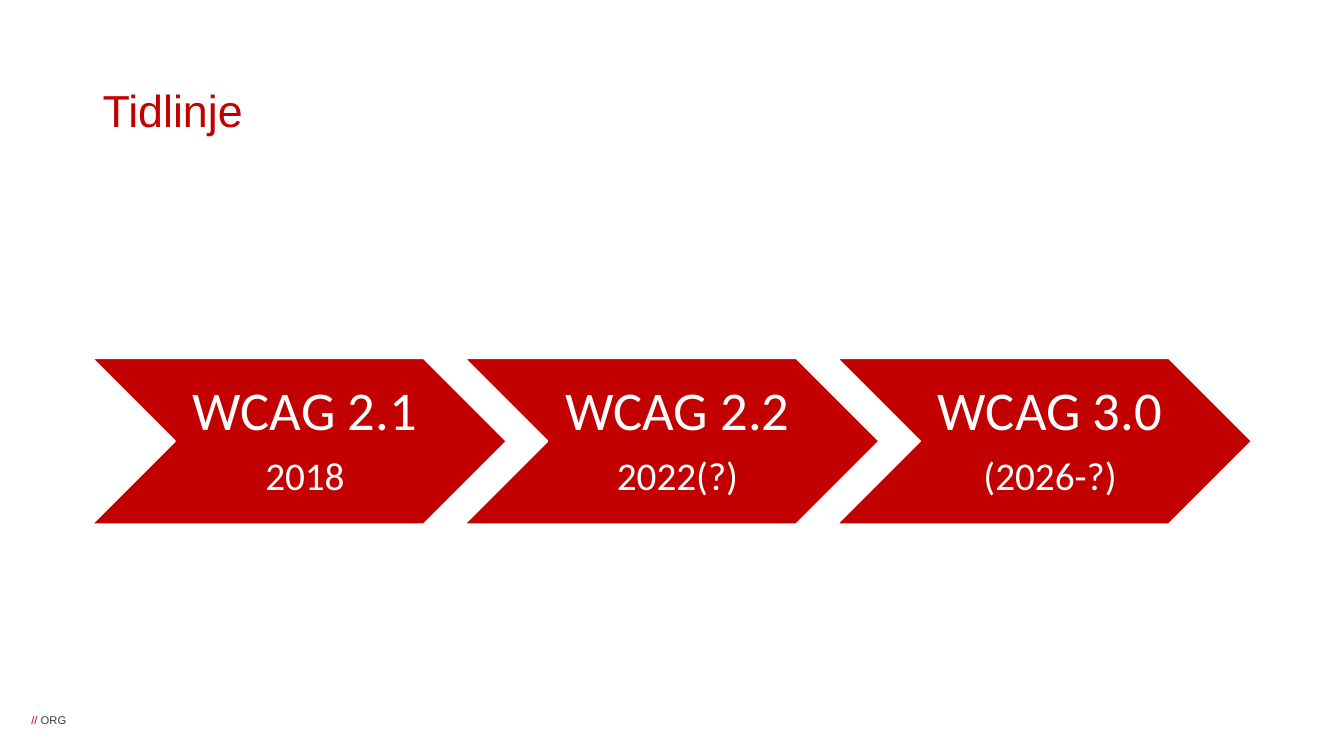
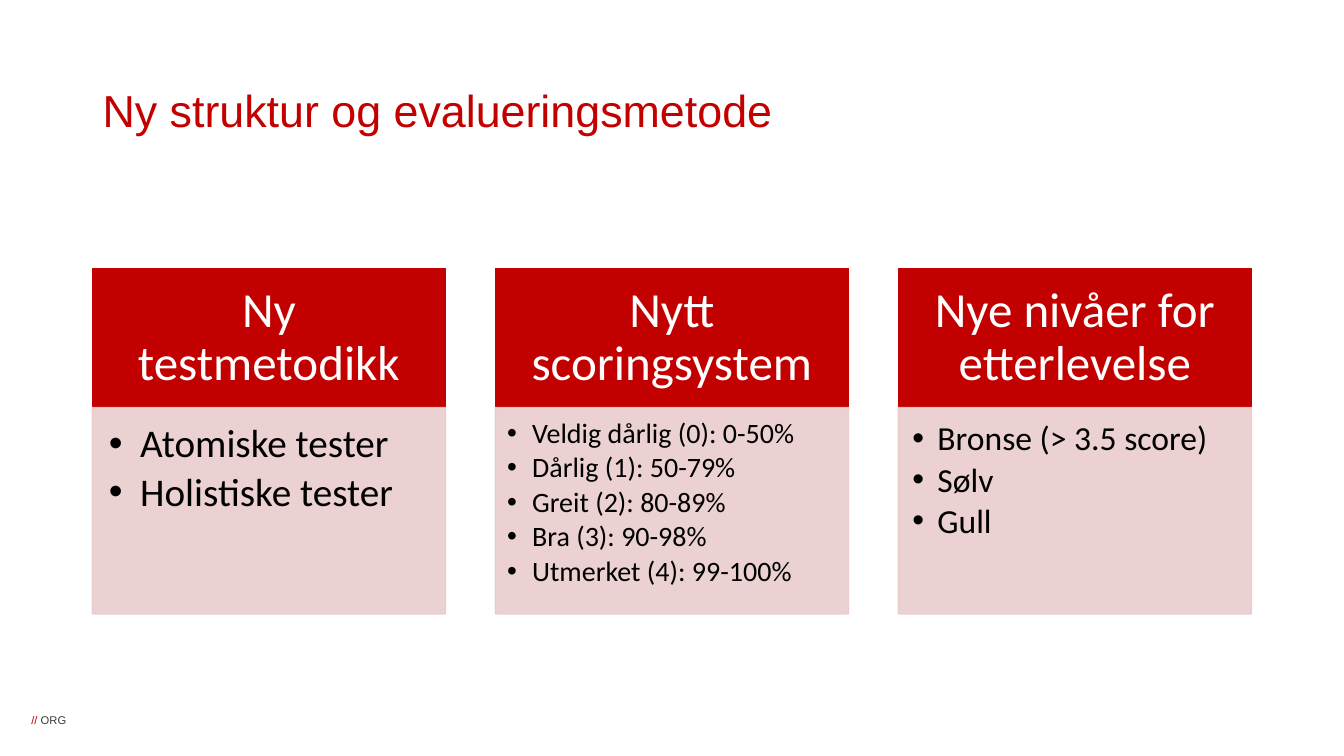
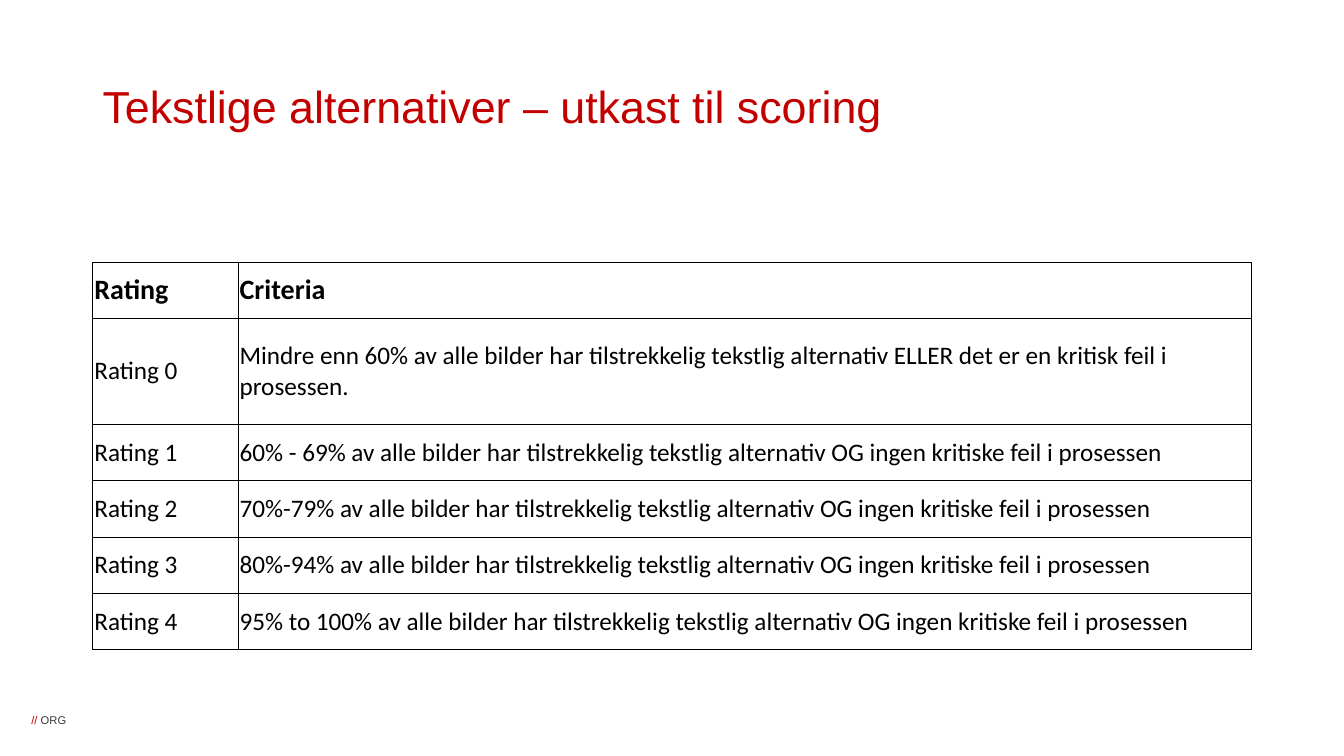
from lxml.etree import SubElement
from pptx import Presentation
from pptx.dml.color import RGBColor
from pptx.enum.shapes import MSO_SHAPE
from pptx.enum.text import MSO_ANCHOR, MSO_AUTO_SIZE, PP_ALIGN
from pptx.oxml.ns import qn
from pptx.util import Cm, Pt

RED = RGBColor(0xC3, 0x00, 0x00)
PINK = RGBColor(0xE9, 0xCC, 0xCC)
GREY = RGBColor(0x3E, 0x38, 0x32)
BLACK = RGBColor(0x00, 0x00, 0x00)
WHITE = RGBColor(0xFF, 0xFF, 0xFF)
HEAD_FONT = "Arial"
BODY_FONT = "Calibri"

LEFT, WIDTH = 2.33, 29.21

STEPS = [("WCAG 2.1", "2018"), ("WCAG 2.2", "2022(?)"), ("WCAG 3.0", "(2026-?)")]

CARDS = [
    ("Ny testmetodikk", 28, 0.79, ["Atomiske tester", "Holistiske tester"]),
    ("Nytt scoringsystem", 20, 0.63, [
        "Veldig dårlig (0): 0-50%",
        "Dårlig (1): 50-79%",
        "Greit (2): 80-89%",
        "Bra (3): 90-98%",
        "Utmerket (4): 99-100%",
    ]),
    ("Nye nivåer for etterlevelse", 24, 0.63, ["Bronse (> 3.5 score)", "Sølv", "Gull"]),
]

ENOUGH = "av alle bilder har tilstrekkelig tekstlig alternativ"
NO_ERRORS = f"{ENOUGH} OG ingen kritiske feil i prosessen"
RATINGS = [
    ("Rating", "Criteria"),
    ("Rating 0", f"Mindre enn 60% {ENOUGH} ELLER det er en kritisk feil i prosessen."),
    ("Rating 1", f"60% - 69% {NO_ERRORS}"),
    ("Rating 2", f"70%-79% {NO_ERRORS}"),
    ("Rating 3", f"80%-94% {NO_ERRORS}"),
    ("Rating 4", f"95% to 100% {NO_ERRORS}"),
]


def add_run(p, text, size, color, font=BODY_FONT, bold=False):
    """Add one formatted run to a paragraph."""
    r = p.add_run()
    r.text = text
    r.font.size = Pt(size)
    r.font.name = font
    r.font.bold = bold
    r.font.color.rgb = color


def set_margins(box, left, top, right, bottom):
    """Set the four insets of a text frame or a table cell."""
    box.margin_left, box.margin_top = left, top
    box.margin_right, box.margin_bottom = right, bottom


def add_paragraph(tf, index, text, size, color, align, after):
    """Fill the paragraph at an index, adding it when it is not the first."""
    p = tf.add_paragraph() if index else tf.paragraphs[0]
    p.alignment = align
    p.line_spacing = 0.9
    p.space_after = Pt(after)
    add_run(p, text, size, color)
    return p


def add_block(slide, preset, x, y, w, h, fill, line, anchor):
    """Add a flat filled shape and return it."""
    sp = slide.shapes.add_shape(preset, Cm(x), Cm(y), Cm(w), Cm(h))
    sp.shadow.inherit = False
    sp.fill.solid()
    sp.fill.fore_color.rgb = fill
    sp.line.color.rgb = line
    sp.line.width = Pt(1)
    sp.text_frame.word_wrap = True
    sp.text_frame.vertical_anchor = anchor
    return sp


def add_footer(slide):
    """Place the footer on the layout of a slide, for all slides using it."""
    sp = slide.shapes.add_textbox(Cm(0.79), Cm(17.98), Cm(1.5), Cm(0.33))
    tf = sp.text_frame
    tf.word_wrap = True
    set_margins(tf, 0, 0, 0, 0)
    p = tf.paragraphs[0]
    add_run(p, "// ", 8, RED, HEAD_FONT)
    add_run(p, "ORG", 8, GREY, HEAD_FONT)
    slide.slide_layout.shapes.element.append(sp.element)


def add_titled_slide(prs, title, top=1.35):
    """Add a title-only slide with its title moved and formatted."""
    slide = prs.slides.add_slide(prs.slide_layouts[5])
    sp = slide.shapes.title
    sp.left, sp.top, sp.width, sp.height = Cm(LEFT), Cm(top), Cm(WIDTH), Cm(2.97)
    tf = sp.text_frame
    tf.word_wrap = True
    tf.auto_size = MSO_AUTO_SIZE.NONE
    tf.vertical_anchor = MSO_ANCHOR.MIDDLE
    p = tf.paragraphs[0]
    p.alignment = PP_ALIGN.LEFT
    p.line_spacing = 0.9
    add_run(p, title, 32, RED, HEAD_FONT)
    return slide


def add_timeline(slide, x, y, w, steps):
    """Draw overlapping chevrons across the given width."""
    overlap = 0.1
    step_w = w / (len(steps) - overlap * (len(steps) - 1))
    for i, (name, year) in enumerate(steps):
        sp = add_block(slide, MSO_SHAPE.CHEVRON, x + i * step_w * (1 - overlap), y,
                       step_w, step_w * 0.4, RED, WHITE, MSO_ANCHOR.MIDDLE)
        tf = sp.text_frame
        set_margins(tf, Cm(0.43), Cm(0.15), Cm(0.15), Cm(0.15))
        add_paragraph(tf, 0, name, 39, WHITE, PP_ALIGN.CENTER, 10)
        add_paragraph(tf, 1, year, 28, WHITE, PP_ALIGN.CENTER, 10)


def add_bullet(p, indent):
    """Give a paragraph a round bullet and a hanging indent."""
    pPr = p._p.get_or_add_pPr()
    pPr.set("marL", str(Cm(indent)))
    pPr.set("indent", str(-Cm(indent)))
    SubElement(pPr, qn("a:buFont"), typeface=HEAD_FONT)
    SubElement(pPr, qn("a:buChar"), char="•")


def set_opacity(sp, percent):
    """Make the fill and the line of a shape partly transparent."""
    for color in sp.element.spPr.iter(qn("a:srgbClr")):
        SubElement(color, qn("a:alpha"), val=str(percent * 1000))


def add_card(slide, x, y, w, heading, size, indent, items):
    """Draw a heading box with a bulleted box below it."""
    head_h, body_h = 3.51, 5.2
    sp = add_block(slide, MSO_SHAPE.RECTANGLE, x, y, w, head_h, RED, RED, MSO_ANCHOR.MIDDLE)
    set_margins(sp.text_frame, Cm(0.69), Cm(0.4), Cm(0.69), Cm(0.4))
    add_paragraph(sp.text_frame, 0, heading, 35, WHITE, PP_ALIGN.CENTER, 0)

    sp = add_block(slide, MSO_SHAPE.RECTANGLE, x, y + head_h, w, body_h, PINK, PINK, MSO_ANCHOR.TOP)
    set_opacity(sp, 90)
    set_margins(sp.text_frame, *(Pt(size * k) for k in (0.42, 0.42, 0.56, 0.63)))
    for i, item in enumerate(items):
        p = add_paragraph(sp.text_frame, i, item, size, BLACK, PP_ALIGN.LEFT, size * 0.15)
        add_bullet(p, indent)


def add_cards(slide, x, y, w, cards):
    """Spread cards with equal gaps over the given width."""
    card_w = 8.9
    pitch = (w - card_w) / (len(cards) - 1)
    for i, card in enumerate(cards):
        add_card(slide, x + i * pitch, y, card_w, *card)


def set_borders(cell):
    """Draw thin black lines on all sides of a cell."""
    tcPr = cell._tc.get_or_add_tcPr()
    for side in ("a:lnL", "a:lnR", "a:lnT", "a:lnB"):
        ln = SubElement(tcPr, qn(side), w=str(Pt(0.3)))
        SubElement(SubElement(ln, qn("a:solidFill")), qn("a:srgbClr"), val=str(BLACK))


def add_ratings(slide, x, y, w, ratings):
    """Draw the rating table with its first row in bold."""
    row_h, tall_h, first_w = 1.42, 2.67, 3.66
    heights = [tall_h if i == 1 else row_h for i in range(len(ratings))]
    table = slide.shapes.add_table(len(ratings), 2, Cm(x), Cm(y), Cm(w), Cm(sum(heights))).table
    table.first_row = table.horz_banding = False
    table.columns[0].width = Cm(first_w)
    table.columns[1].width = Cm(w - first_w)
    for i, texts in enumerate(ratings):
        table.rows[i].height = Cm(heights[i])
        for j, text in enumerate(texts):
            cell = table.cell(i, j)
            set_borders(cell)
            cell.fill.background()
            cell.vertical_anchor = MSO_ANCHOR.MIDDLE
            set_margins(cell, *[Cm(0.05)] * 4)
            add_run(cell.text_frame.paragraphs[0], text, 18 if i else 20, BLACK, bold=not i)


def main():
    """Build the three slides and save them."""
    prs = Presentation()
    prs.slide_width, prs.slide_height = Cm(33.87), Cm(19.05)

    slide = add_titled_slide(prs, "Tidlinje")
    add_footer(slide)
    add_timeline(slide, LEFT, 9.03, WIDTH, STEPS)

    slide = add_titled_slide(prs, "Ny struktur og evalueringsmetode")
    add_cards(slide, LEFT, 6.76, WIDTH, CARDS)

    slide = add_titled_slide(prs, "Tekstlige alternativer – utkast til scoring", top=1.27)
    add_ratings(slide, LEFT, 6.6, WIDTH, RATINGS)

    prs.save("out.pptx")


if __name__ == "__main__":
    main()
